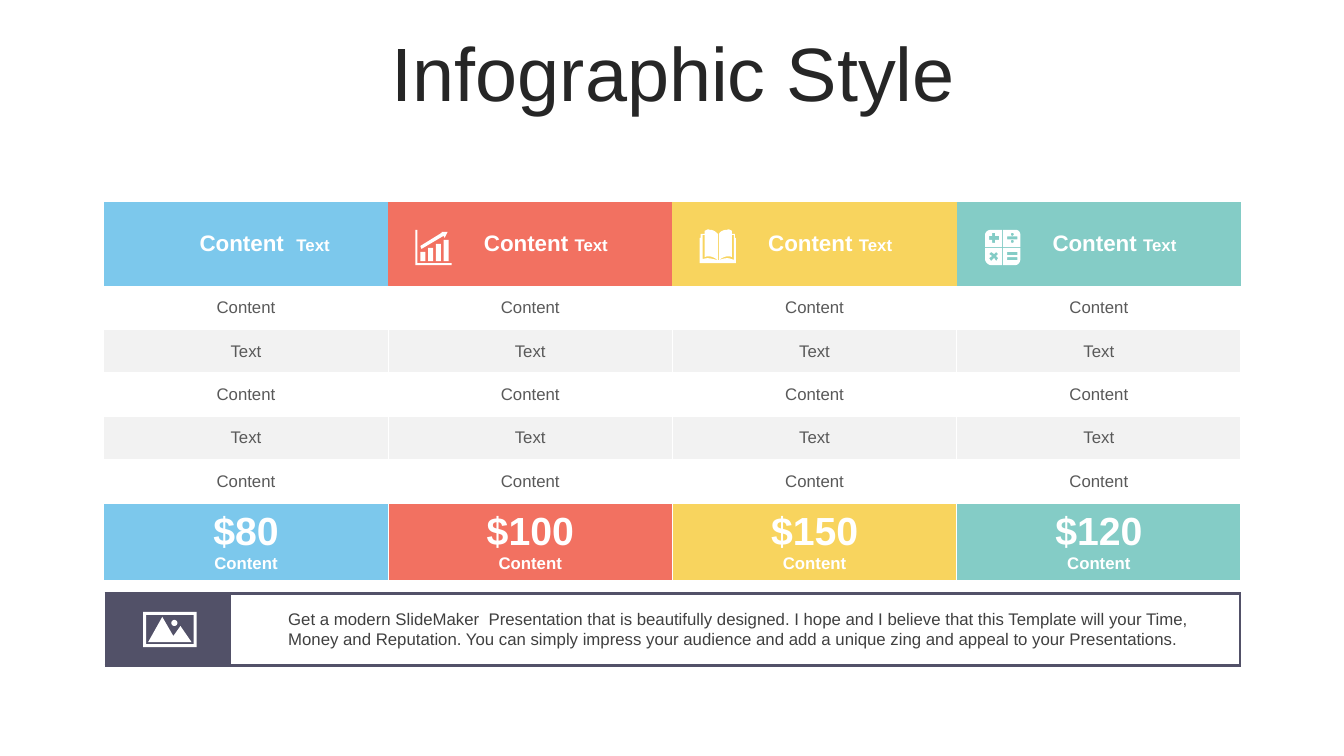
from dataclasses import dataclass

import pptx
import pptx.dml.color
import pptx.enum.text
import pptx.oxml
import pptx.oxml.ns
import pptx.util

RGBColor = pptx.dml.color.RGBColor
Inches = pptx.util.Inches
Pt = pptx.util.Pt
Align = pptx.enum.text.PP_ALIGN
Anchor = pptx.enum.text.MSO_ANCHOR

WHITE = RGBColor(0xFF, 0xFF, 0xFF)
STRIPE = RGBColor(0xF2, 0xF2, 0xF2)
BLUE = RGBColor(0x7C, 0xC8, 0xEC)
CORAL = RGBColor(0xF2, 0x71, 0x61)
YELLOW = RGBColor(0xF8, 0xD4, 0x5E)
TEAL = RGBColor(0x84, 0xCC, 0xC6)
INDIGO = RGBColor(0x52, 0x51, 0x68)
TITLE_INK = RGBColor(0x26, 0x26, 0x26)
BODY_INK = RGBColor(0x59, 0x59, 0x59)
NOTE_INK = RGBColor(0x40, 0x40, 0x40)

# A step is a line end (x, y) or a cubic curve (x1, y1, x2, y2, x, y)
Contour = list[tuple[float, ...]]


@dataclass
class Plan:
    heading: str
    price: str
    color: RGBColor


@dataclass
class Icon:
    left: float
    top: float
    contours: list[Contour]  # hundredths of an inch from left and top


def box(left: float, top: float, right: float, bottom: float) -> Contour:
    return [(left, top), (right, top), (right, bottom), (left, bottom)]


def dot(x: float, y: float, r: float) -> Contour:
    k = 0.55 * r
    return [(x, y - r), (x + k, y - r, x + r, y - k, x + r, y),
            (x + r, y + k, x + k, y + r, x, y + r),
            (x - k, y + r, x - r, y + k, x - r, y),
            (x - r, y - k, x - k, y - r, x, y - r)]


PLANS = [
    Plan("Content  ", "$80", BLUE),
    Plan("Content ", "$100", CORAL),
    Plan("Content ", "$150", YELLOW),
    Plan("Content ", "$120", TEAL),
]
FEATURES = ["Content", "Text", "Content", "Text", "Content"]
ICON_WIDTH, HEADING_WIDTH = 0.85, 1.97
ROW_HEIGHTS = [0.84] + [0.43] * len(FEATURES) + [0.75]

GROWTH = Icon(4.12, 2.28, [
    *[box(5 + 7.7 * i, 22 - 4 * i, 10 + 7.7 * i, 31) for i in range(4)],
    [(26, 2), (32, 2), (29, 8), (28, 6), (6, 19), (5, 16), (26, 3)],
    [(0, 0), (2, 0), (2, 33), (36, 33), (36, 35), (0, 35)],
])
BOOK = Icon(6.94, 2.28, [[
    (18, 30), (19, 30), (25, 28, 28, 27, 34, 30), (34, 5), (32, 5), (32, 27),
    (28, 25, 23, 27, 19, 30), (19, 4), (21, 1, 24, 0, 27, 0),
    (29, -1, 30, 0, 32, 1), (32, 4), (35, 4), (35, 8), (36, 8), (36, 33),
    (0, 33), (0, 8), (1, 8), (1, 4), (5, 4), (5, 1), (7, 0, 8, -1, 10, 0),
    (13, 0, 15, 1, 18, 4), (18, 30), (14, 27, 9, 25, 5, 27), (5, 5), (3, 5),
    (3, 29), (9, 27, 12, 29, 18, 30),
]])
CALCULATOR = Icon(9.77, 2.28, [
    [(6, 0), (17, 0), (17, 17), (0, 17), (0, 5), (0, 2, 3, 0, 6, 0)],
    [(18, 0), (30, 0), (33, 0, 35, 2, 35, 5), (35, 17), (18, 17)],
    [(0, 18), (17, 18), (17, 35), (6, 35), (3, 35, 0, 32, 0, 29)],
    [(18, 18), (35, 18), (35, 29), (35, 32, 33, 35, 30, 35), (18, 35)],
    [(7, 3), (10, 3), (10, 6), (14, 6), (14, 10), (10, 10), (10, 13),
     (7, 13), (7, 10), (4, 10), (4, 6), (7, 6)],
    [(6, 22), (9, 24), (11, 22), (13, 24), (11, 26), (13, 28), (11, 31),
     (9, 28), (6, 31), (4, 28), (7, 26), (4, 24)],
    box(22, 6.5, 32, 9.5), dot(27, 4.5, 1.5), dot(27, 11.5, 1.5),
    box(22, 22, 32, 25), box(22, 27, 32, 30),
])
LANDSCAPE = Icon(1.42, 6.07, [
    box(0, 0, 53, 35), box(3, 3, 50, 32), dot(31, 11, 3),
    [(19, 5), (30, 24), (37, 14), (48, 30), (5, 30)],
])


def add_run(paragraph, text: str, size: float, color: RGBColor,
            bold: bool = False) -> None:
    run = paragraph.add_run()
    run.text = text
    run.font.name = "Arial"
    run.font.size = Pt(size)
    run.font.bold = bold
    run.font.color.rgb = color


def style_cell(cell, fill: RGBColor, line: RGBColor | None = None,
               width: float = 1) -> None:
    """Fill a cell and draw its four borders, or none without a line colour."""
    cell.fill.solid()
    cell.fill.fore_color.rgb = fill
    cell.vertical_anchor = Anchor.MIDDLE
    paint = (f'<a:solidFill><a:srgbClr val="{line}"/></a:solidFill>'
             if line else "<a:noFill/>")
    properties = cell._tc.get_or_add_tcPr()
    for position, side in enumerate("LRTB"):
        properties.insert(position, pptx.oxml.parse_xml(
            f'<a:ln{side} {pptx.oxml.ns.nsdecls("a")} w="{Pt(width)}">'
            f"{paint}</a:ln{side}>"))


def add_grid(slide, left: float, top: float, widths: list[float],
             heights: list[float]):
    grid = slide.shapes.add_table(
        len(heights), len(widths), Inches(left), Inches(top),
        Inches(sum(widths)), Inches(sum(heights))).table
    grid.first_row = grid.horz_banding = False
    for column, width in zip(grid.columns, widths):
        column.width = Inches(width)
    for row, height in zip(grid.rows, heights):
        row.height = Inches(height)
    return grid


def flatten(contour: Contour) -> list[tuple[float, ...]]:
    points = [contour[0]]
    for step in contour[1:]:
        if len(step) == 2:
            points.append(step)
            continue
        start, first, second, end = points[-1], step[:2], step[2:4], step[4:]
        for t in (i / 8 for i in range(1, 9)):
            points.append(tuple(
                (1 - t) ** 3 * a + 3 * t * (1 - t) ** 2 * b
                + 3 * t * t * (1 - t) * c + t ** 3 * d
                for a, b, c, d in zip(start, first, second, end)))
    return points


def draw_icon(slide, icon: Icon) -> None:
    outline = None
    for contour in icon.contours:
        points = [(Inches(icon.left + x / 100), Inches(icon.top + y / 100))
                  for x, y in flatten(contour)]
        if outline is None:
            outline = slide.shapes.build_freeform(*points[0])
        else:
            outline.move_to(*points[0])
        outline.add_line_segments(points[1:], close=True)
    symbol = outline.convert_to_shape()
    symbol.shadow.inherit = False
    symbol.fill.solid()
    symbol.fill.fore_color.rgb = WHITE
    symbol.line.fill.background()


def add_text(slide, left: float, top: float, width: float, height: float):
    frame = slide.shapes.add_textbox(
        Inches(left), Inches(top), Inches(width), Inches(height)).text_frame
    frame.word_wrap = True
    return frame


def main() -> None:
    deck = pptx.Presentation()
    deck.slide_width, deck.slide_height = Inches(13.33), Inches(7.5)
    slide = deck.slides.add_slide(deck.slide_layouts[6])

    # Title
    title = add_text(slide, 0.35, 0.37, 12.66, 0.79)
    title.vertical_anchor = Anchor.MIDDLE
    title.paragraphs[0].alignment = Align.CENTER
    title.paragraphs[0].line_spacing = 0.9
    add_run(title.paragraphs[0], "Infographic Style", 54, TITLE_INK)

    # Price table: each plan spans an icon column and a heading column
    prices = add_grid(slide, 1.03, 2, [ICON_WIDTH, HEADING_WIDTH] * len(PLANS),
                      ROW_HEIGHTS)
    last = len(ROW_HEIGHTS) - 1
    for index, plan in enumerate(PLANS):
        first = 2 * index
        for row in range(last + 1):
            pair = [prices.cell(row, first), prices.cell(row, first + 1)]
            stripe = STRIPE if row % 2 == 0 else WHITE
            for cell in pair:
                style_cell(cell, plan.color if row in (0, last) else stripe,
                           WHITE if row else None)
            if row == 0:
                heading = pair[1].text_frame.paragraphs[0]
                add_run(heading, plan.heading, 16, WHITE, True)
                add_run(heading, "Text", 12, WHITE, True)
                continue
            pair[0].merge(pair[1])
            content = pair[0].text_frame
            content.paragraphs[0].alignment = Align.CENTER
            if row < last:
                add_run(content.paragraphs[0], FEATURES[row - 1], 12, BODY_INK)
            else:
                add_run(content.paragraphs[0], plan.price, 28, WHITE, True)
                caption = content.add_paragraph()
                caption.alignment = Align.CENTER
                add_run(caption, "Content", 12, WHITE, True)

    # Note bar
    note_bar = add_grid(slide, 1.05, 5.89, [1.23, 10.02], [0.71])
    for column, fill in enumerate((INDIGO, WHITE)):
        style_cell(note_bar.cell(0, column), fill, INDIGO, 2.25)
    note = add_text(slide, 2.76, 5.99, 9.29, 0.5)
    add_run(note.paragraphs[0],
            "Get a modern SlideMaker  Presentation that is beautifully designed. "
            "I hope and I believe that this Template will your Time, Money and "
            "Reputation. You can simply impress your audience and add a unique "
            "zing and appeal to your Presentations.", 12, NOTE_INK)

    # Icons
    for icon in (GROWTH, CALCULATOR, BOOK, LANDSCAPE):
        draw_icon(slide, icon)

    deck.save("out.pptx")


if __name__ == "__main__":
    main()
